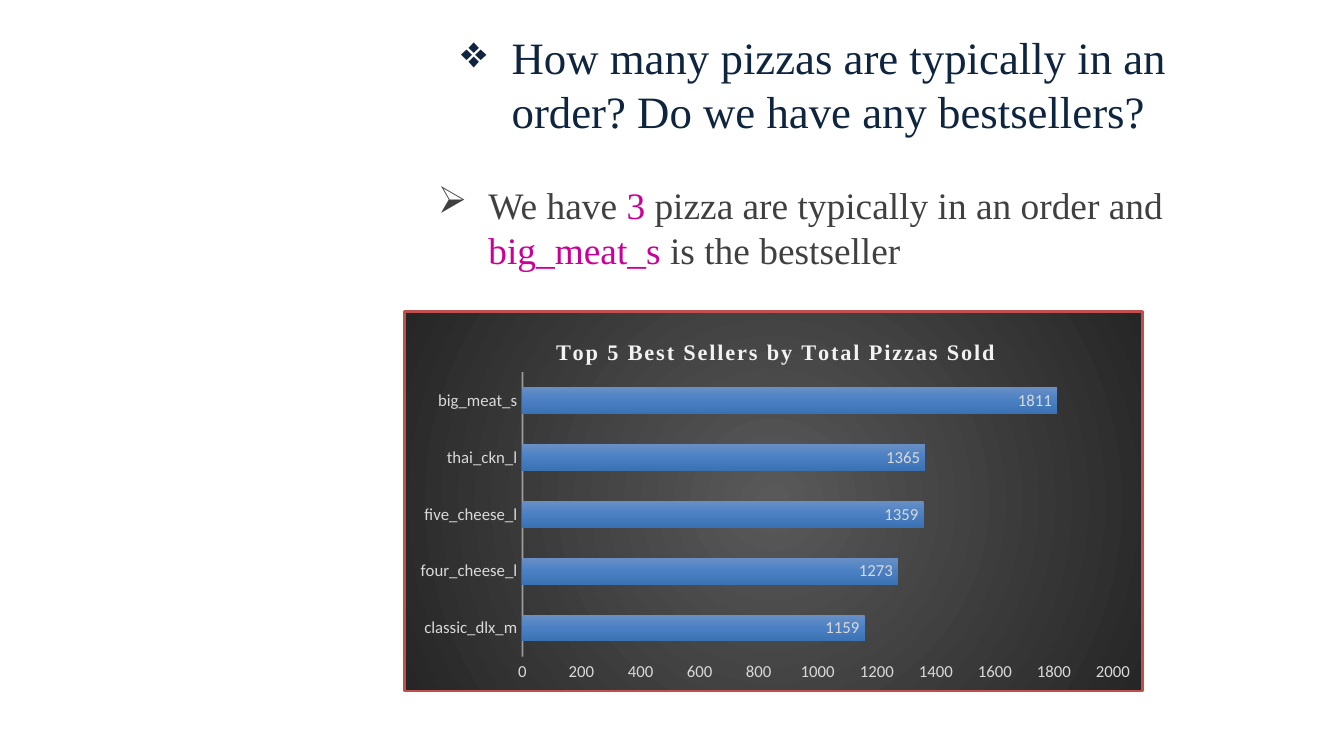
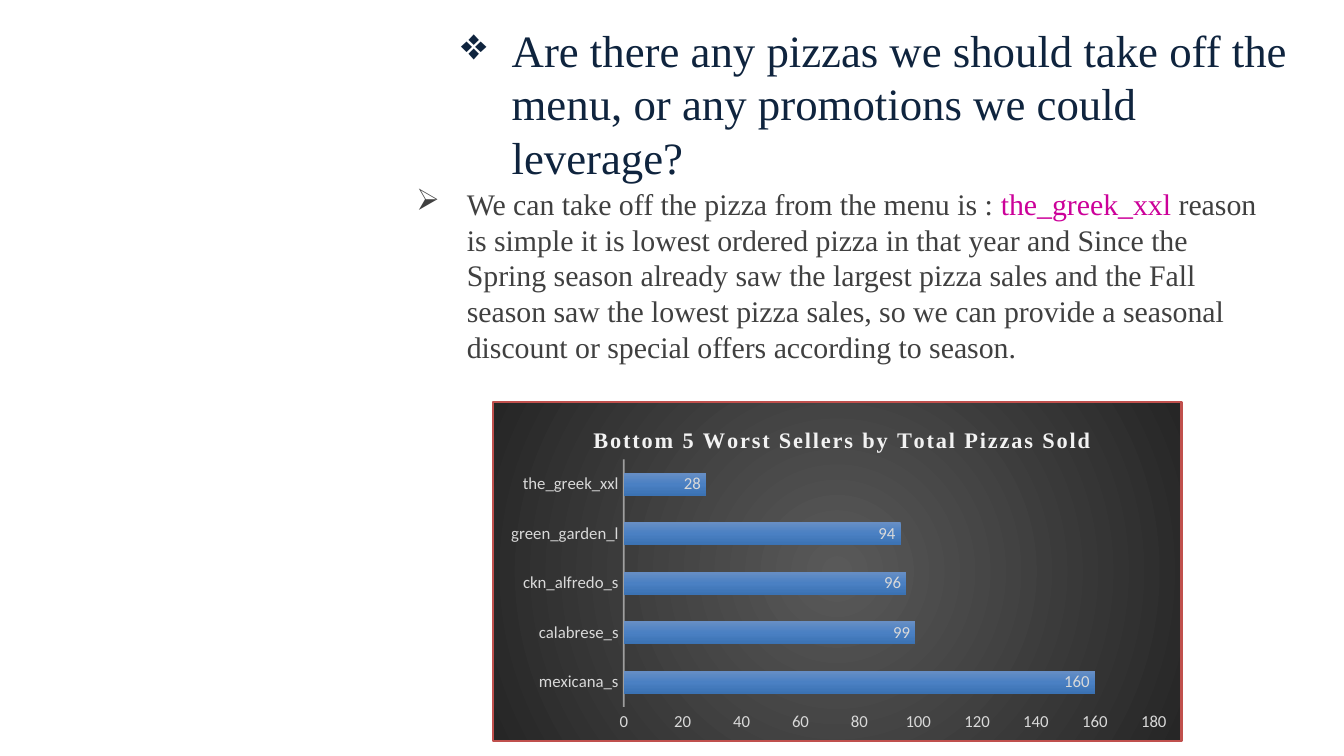
from pptx import Presentation
from pptx.chart.data import CategoryChartData as Data
from pptx.dml.color import RGBColor
from pptx.enum.chart import XL_CHART_TYPE as Kind, XL_LABEL_POSITION as Spot
from pptx.enum.chart import XL_TICK_MARK as Tick
from pptx.enum.text import MSO_ANCHOR as Anchor
from pptx.oxml import parse_xml
from pptx.oxml.ns import nsdecls, qn
from pptx.util import Pt

# Shared look
NAVY = RGBColor(0x0F, 0x24, 0x3E)
GRAY = RGBColor(0x40, 0x40, 0x40)
PINK = RGBColor(0xCC, 0x00, 0x99)
PALE = RGBColor(0xD9, 0xD9, 0xD9)
LIGHT = RGBColor(0xF2, 0xF2, 0xF2)
RED = RGBColor(0xC0, 0x50, 0x4D)
DARK = [(0, RGBColor(0x59, 0x59, 0x59)), (100, RGBColor(0x26, 0x26, 0x26))]
BLUES = [(0, RGBColor(0x68, 0x8F, 0xC5)), (50, RGBColor(0x4A, 0x80, 0xC3)),
         (100, RGBColor(0x3B, 0x72, 0xB3))]
SERIF, SANS = "Times New Roman", "Calibri"
INDENT = Pt(27)


def style(font, name, size, color, bold=False):
    font.name, font.size, font.bold = name, Pt(size), bold
    font.color.rgb = color


def bullet(para, mark, before=0):
    """Hanging bullet, with space before in percent."""
    props = para._p.get_or_add_pPr()
    props.set("marL", str(INDENT))
    props.set("indent", str(-INDENT))
    if before:
        props.append(parse_xml(
            f'<a:spcBef {nsdecls("a")}><a:spcPct val="{before * 1000}"/></a:spcBef>'))
    props.append(parse_xml(f'<a:buChar {nsdecls("a")} char="{mark}"/>'))


def text(slide, box, mark, size, runs, before=0):
    shape = slide.shapes.add_textbox(*map(Pt, box))
    frame = shape.text_frame
    frame.word_wrap = True
    para = frame.paragraphs[0]
    bullet(para, mark, before)
    for words, color in runs:
        run = para.add_run()
        run.text = words
        style(run.font, SERIF, size, color)
    return frame


def title(slide, box, words, lift):
    """Centred in the part of the box above the lift."""
    frame = text(slide, box, "❖", 24, [(words, NAVY)])
    frame.vertical_anchor = Anchor.MIDDLE
    frame.margin_top, frame.margin_bottom = 0, Pt(lift)


def grad(stops, shade):
    """Gradient fill as XML text."""
    marks = "".join(f'<a:gs pos="{pos * 1000}"><a:srgbClr val="{color}"/></a:gs>'
                    for pos, color in stops)
    return f"<a:gradFill><a:gsLst>{marks}</a:gsLst>{shade}</a:gradFill>"


def layout(parts):
    """Manual chart layout from a dict of tags and values."""
    tags = "".join(f'<c:{tag} val="{val}"/>' for tag, val in parts.items())
    return parse_xml(f'<c:layout {nsdecls("c")}><c:manualLayout>{tags}'
                     "</c:manualLayout></c:layout>")


def clear(node, tag):
    for old in node.findall(qn(tag)):
        node.remove(old)


def head(chart, words, left):
    para = chart.chart_title.text_frame.paragraphs[0]
    run = para.add_run()
    run.text = words
    style(run.font, SERIF, 12, LIGHT, True)
    run._r.get_or_add_rPr().set("spc", "100")
    node = chart.chart_title._element
    clear(node, "c:layout")
    node.find(qn("c:tx")).addnext(
        layout({"xMode": "edge", "yMode": "edge", "x": left, "y": 0.06}))


def axes(chart, top, step):
    for axis in (chart.category_axis, chart.value_axis):
        axis.major_tick_mark = axis.minor_tick_mark = Tick.NONE
        axis.has_major_gridlines = False
        style(axis.tick_labels.font, SANS, 9, PALE)
    chart.value_axis.minimum_scale = 0
    chart.value_axis.maximum_scale = top
    chart.value_axis.major_unit = step
    chart.value_axis.format.line.fill.background()
    line = chart.category_axis.format.line
    line.width = Pt(1)
    line.color.rgb = LIGHT
    color = next(chart.category_axis._element.find(qn("c:spPr")).iter(qn("a:srgbClr")))
    color.append(parse_xml(f'<a:alpha {nsdecls("a")} val="54000"/>'))


def bars(chart):
    plot = chart.plots[0]
    plot.gap_width, plot.overlap = 115, -20
    plot.vary_by_categories = False
    plot.has_data_labels = True
    labels = plot.data_labels
    labels.show_value = True
    labels.position = Spot.INSIDE_END
    style(labels.font, SANS, 9, PALE)
    fill = grad(BLUES, '<a:lin ang="5400000" scaled="0"/>')
    props = plot.series[0]._element.get_or_add_spPr()
    props.append(parse_xml(fill.replace("<a:gradFill", f'<a:gradFill {nsdecls("a")}', 1)))


def panel(chart):
    """Dark glow behind the chart, with a red border."""
    glow = grad(DARK, '<a:path path="circle"><a:fillToRect l="50000" t="50000" '
                      'r="50000" b="50000"/></a:path>')
    back = parse_xml(
        f'<c:spPr {nsdecls("c", "a")}>{glow}<a:ln w="{Pt(1.25)}"><a:solidFill>'
        f'<a:srgbClr val="{RED}"/></a:solidFill></a:ln></c:spPr>')
    chart._chartSpace.find(qn("c:txPr")).addprevious(back)


def sales(slide, box, words, left, area, scale, rows):
    data = Data()
    data.categories = [name for name, _ in rows]
    data.add_series("Series 1", [count for _, count in rows])
    chart = slide.shapes.add_chart(Kind.BAR_CLUSTERED, *map(Pt, box), data).chart
    chart.has_legend = False
    chart.font.name, chart.font.size = SANS, Pt(10)
    head(chart, words, left)
    axes(chart, *scale)
    bars(chart)
    panel(chart)
    # Place of the bars within the chart
    plot = chart._chartSpace.chart.plotArea
    clear(plot, "c:layout")
    plot.insert(0, layout({"layoutTarget": "inner", "xMode": "edge", "yMode": "edge",
                           **dict(zip("xywh", area))}))


def best(slide):
    title(slide, (240, 22.3, 396, 72),
          "How many pizzas are typically in an order? Do we have any bestsellers?", 27)
    text(slide, (227.5, 94.3, 468.7, 72), "➢", 20, [
        ("We have ", GRAY), ("3", PINK),
        (" pizza are typically in an order and ", GRAY),
        ("big_meat_s ", PINK), ("is the bestseller", GRAY)], 20)
    sales(slide, (216, 166.3, 396.7, 204.5), "Top 5 Best Sellers by Total Pizzas Sold",
          0.2, (0.16, 0.16, 0.8, 0.75), (2000, 200),
          [("classic_dlx_m", 1159), ("four_cheese_l", 1273), ("five_cheese_l", 1359),
           ("thai_ckn_l", 1365), ("big_meat_s", 1811)])


def worst(slide):
    title(slide, (240, 21.6, 468.7, 121),
          "Are there any pizzas we should take off the menu, "
          "or any promotions we could leverage?", 54)
    text(slide, (216, 95.8, 468.7, 108), "➢", 16, [
        ("We can take off the pizza from the menu is : ", GRAY),
        ("the_greek_xxl ", PINK),
        ("reason is simple it is lowest ordered pizza in that year and Since the "
         "Spring season already saw the largest pizza sales and the Fall season saw "
         "the lowest pizza sales, so we can provide a seasonal discount or special "
         "offers according to season.", GRAY)], 20)
    sales(slide, (263.5, 214.6, 370, 183), "Bottom 5 Worst Sellers by Total Pizzas Sold",
          0.14, (0.19, 0.17, 0.77, 0.73), (180, 20),
          [("mexicana_s", 160), ("calabrese_s", 99), ("ckn_alfredo_s", 96),
           ("green_garden_l", 94), ("the_greek_xxl", 28)])


def main():
    deck = Presentation()
    deck.slide_width, deck.slide_height = Pt(720), Pt(405)
    for build in (best, worst):
        build(deck.slides.add_slide(deck.slide_layouts[6]))
    deck.save("out.pptx")


main()
